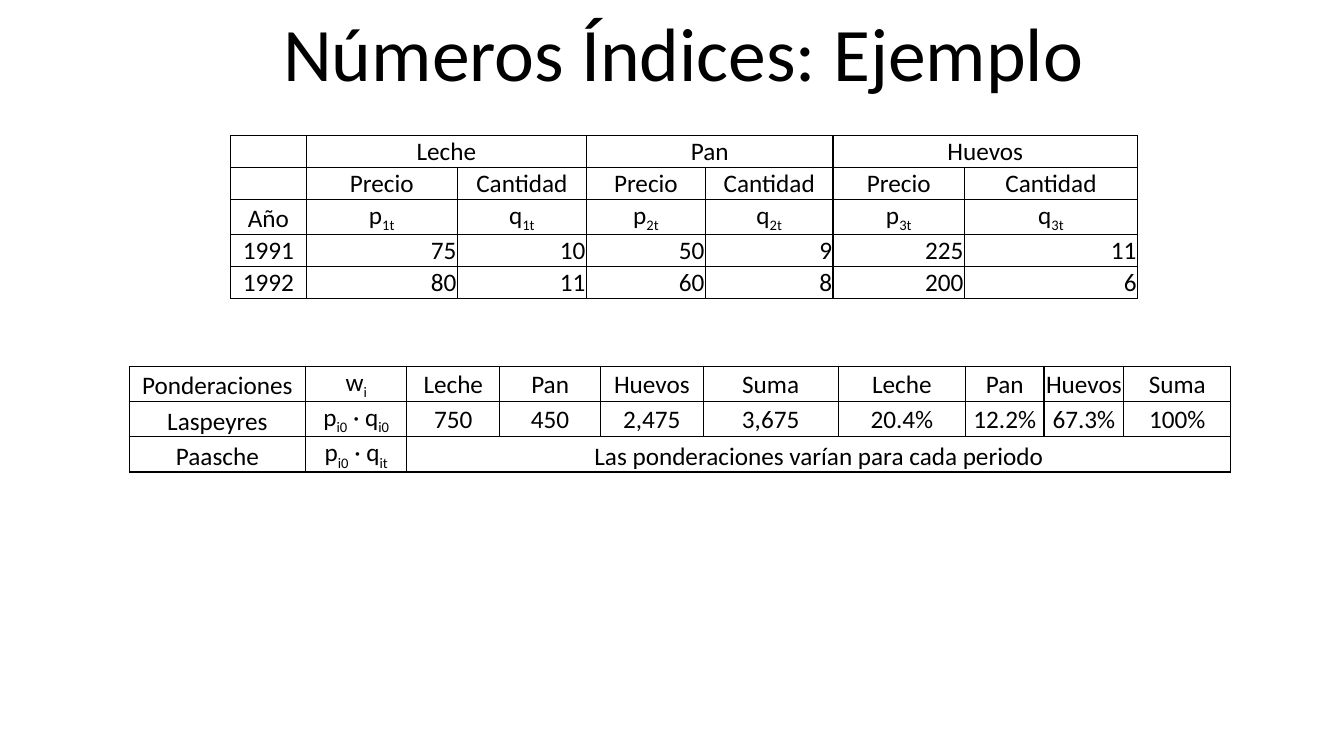
from lxml.etree import SubElement
from pptx import Presentation
from pptx.dml.color import RGBColor
from pptx.enum.text import MSO_ANCHOR, PP_ALIGN
from pptx.oxml import parse_xml
from pptx.oxml.ns import nsdecls, qn
from pptx.util import Pt

COLORS = {"text": "000000", "border": "000000"}


class SlideBuilder:
    """Holds the style and the current slide."""

    font_name = "Calibri"
    title_size = 54
    table_size = 18

    def __init__(self, presentation):
        self.slide = presentation.slides.add_slide(presentation.slide_layouts[5])

    def format_run(self, run, size):
        run.font.name = self.font_name
        run.font.size = Pt(size)
        run.font.color.rgb = RGBColor.from_string(COLORS["text"])

    def title(self, text, left, top, width, height):
        shape = self.slide.shapes.title
        shape.left, shape.top = Pt(left), Pt(top)
        shape.width, shape.height = Pt(width), Pt(height)
        shape.text_frame.text = text
        shape.text_frame.word_wrap = False
        paragraph = shape.text_frame.paragraphs[0]
        paragraph.alignment = PP_ALIGN.CENTER
        self.format_run(paragraph.runs[0], self.title_size)

    def border(self, cell):
        properties = cell._tc.get_or_add_tcPr()
        for index, side in enumerate(("lnL", "lnR", "lnT", "lnB")):
            line = parse_xml(f'<a:{side} {nsdecls("a")} w="{Pt(1)}"/>')
            fill = SubElement(line, qn("a:solidFill"))
            SubElement(fill, qn("a:srgbClr"), val=COLORS["border"])
            properties.insert(index, line)

    def fill_cell(self, cell, text, alignment, anchor):
        """Write text whose odd parts, split at |, are subscripts."""
        cell.margin_left = cell.margin_right = cell.margin_top = Pt(0.75)
        cell.margin_bottom = Pt(0)
        cell.vertical_anchor = anchor
        cell.fill.background()
        self.border(cell)
        paragraph = cell.text_frame.paragraphs[0]
        paragraph.alignment = alignment
        paragraph.font.size = Pt(self.table_size)
        for index, part in enumerate(text.split("|") if text else []):
            run = paragraph.add_run()
            run.text = part
            self.format_run(run, self.table_size)
            if index % 2:
                run.font._element.set("baseline", "-25000")

    def table(self, left, top, widths, heights, rows, merges, style):
        """Add a table; style(row, column) gives alignment and anchor."""
        table = self.slide.shapes.add_table(
            len(heights), len(widths), Pt(left), Pt(top),
            Pt(sum(widths)), Pt(sum(heights))).table
        table.first_row = table.horz_banding = False
        for column, width in zip(table.columns, widths):
            column.width = Pt(width)
        for row, height in zip(table.rows, heights):
            row.height = Pt(height)
        for row, texts in enumerate(rows):
            for column, text in enumerate(texts):
                self.fill_cell(table.cell(row, column), text, *style(row, column))
        for row, first, last in merges:
            table.cell(row, first).merge(table.cell(row, last))


def price_style(row, column):
    is_number = row >= 3 and column >= 1
    return PP_ALIGN.RIGHT if is_number else PP_ALIGN.CENTER, MSO_ANCHOR.BOTTOM


def weight_style(row, column):
    is_value = row < 2 and column >= 2
    return PP_ALIGN.CENTER, MSO_ANCHOR.MIDDLE if is_value else MSO_ANCHOR.BOTTOM


def main():
    presentation = Presentation()
    presentation.slide_width, presentation.slide_height = Pt(960), Pt(540)
    builder = SlideBuilder(presentation)

    # Title
    builder.title("Números Índices: Ejemplo", 192.2, 0, 592, 72.7)

    # Prices and quantities
    builder.table(
        164.7, 96.9, [54, 108, 92.2, 85, 91.2, 93.9, 123.6],
        [22.6, 22.6, 25, 22.6, 22.6],
        [
            ["", "Leche", "", "Pan", "", "Huevos", ""],
            [""] + ["Precio", "Cantidad"] * 3,
            ["Año"] + [f"{letter}|{good}t" for good in (1, 2, 3) for letter in "pq"],
            ["1991", "75", "10", "50", "9", "225", "11"],
            ["1992", "80", "11", "60", "8", "200", "6"],
        ],
        [(0, first, first + 1) for first in (1, 3, 5)], price_style)

    # Weights
    goods = ["Leche", "Pan", "Huevos", "Suma"]
    builder.table(
        92.3, 261.6, [126, 72.3, 66.4, 72, 73.3, 96.5, 91, 56, 57, 76.5],
        [25.2] * 3,
        [
            ["Ponderaciones", "w|i"] + goods * 2,
            ["Laspeyres", "p|i0| · q|i0", "750", "450", "2,475", "3,675",
             "20.4%", "12.2%", "67.3%", "100%"],
            ["Paasche", "p|i0| · q|it",
             "Las ponderaciones varían para cada periodo"] + [""] * 7,
        ],
        [(2, 2, 9)], weight_style)

    presentation.save("out.pptx")


if __name__ == "__main__":
    main()
